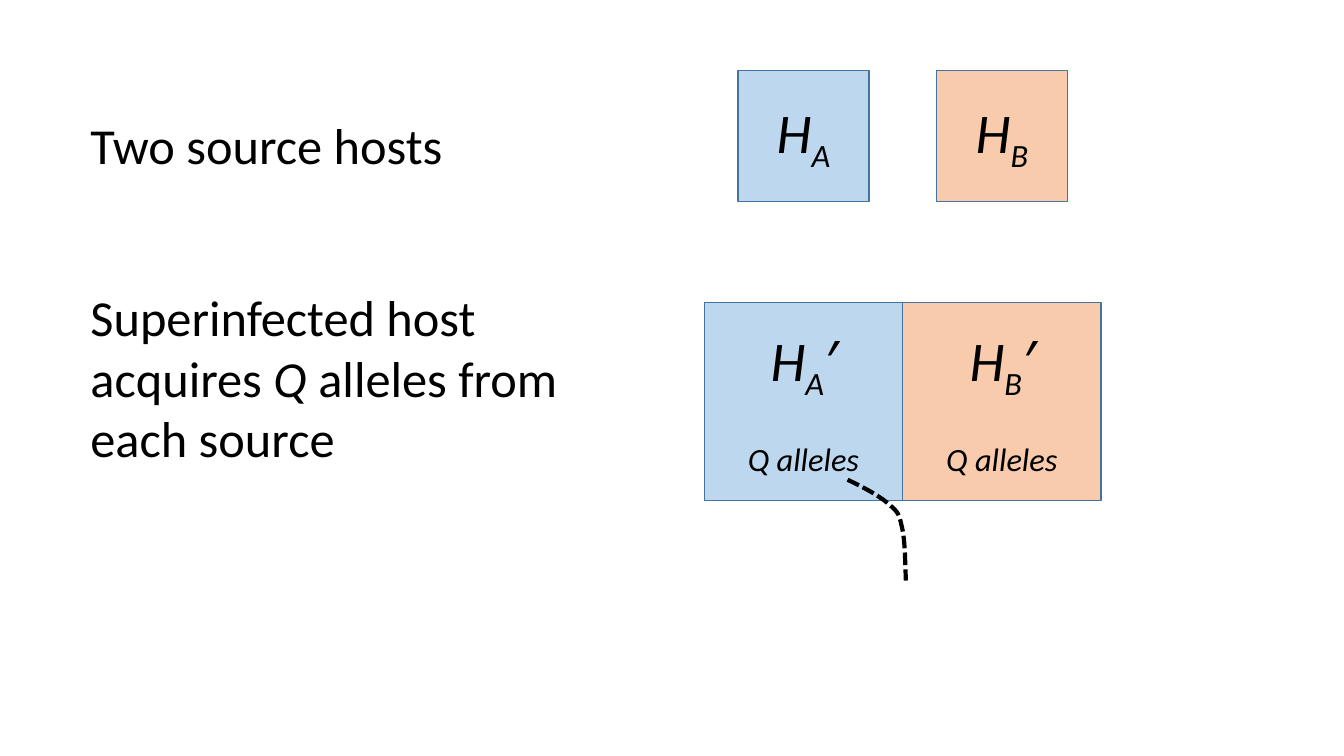
import pptx
import pptx.util
import pptx.dml.color
import pptx.enum.dml
import pptx.enum.shapes
import pptx.enum.text

Cm, Pt = pptx.util.Cm, pptx.util.Pt
RGBColor = pptx.dml.color.RGBColor

BLACK = RGBColor(0x00, 0x00, 0x00)
BLUE = RGBColor(0xBD, 0xD7, 0xEE)
ORANGE = RGBColor(0xF8, 0xCB, 0xAD)
OUTLINE = RGBColor(0x43, 0x73, 0x9E)

# Content: hosts, and labels as (text, italic) runs at (left, top, width, height, wrap)
HOSTS = [("A", BLUE), ("B", ORANGE)]
LABELS = [
    ((2.03, 2.74, 9.47, 1.8, False), [("Two source hosts", False)]),
    ((2.03, 7.09, 14.48, 4.88, True), [
        ("Superinfected host acquires ", False),
        ("Q", True),
        (" alleles from each source", False),
    ]),
]

# Layout in centimetres
SOURCE_SIDE, SOURCE_TOP = 3.3, 1.78
INFECTED_SIDE, INFECTED_TOP = 5.0, 7.62
FIRST_CENTRE = 20.25

# Allele trail: start point, then Bezier segments of two controls and an end
TRAIL_START = (21.36, 12.09)
TRAIL_CURVES = [
    ((21.79, 12.29), (22.2, 12.52), (22.43, 12.73)),
    ((22.66, 12.93), (22.66, 12.98), (22.73, 13.28)),
    ((22.81, 13.61), (22.81, 14.12), (22.83, 14.63)),
]
STEPS = 12


def add_span(para, text, size, italic, subscript=False):
    span = para.add_run()
    span.text = text
    span.font.name = "Calibri"
    span.font.size = Pt(size)
    span.font.italic = italic
    span.font.color.rgb = BLACK
    if subscript:
        span._r.get_or_add_rPr().set("baseline", "-25000")


def add_host(slide, centre, top, side, fill, lines):
    box = slide.shapes.add_shape(
        pptx.enum.shapes.MSO_SHAPE.RECTANGLE,
        Cm(centre - side / 2), Cm(top), Cm(side), Cm(side))
    box.shadow.inherit = False
    box.fill.solid()
    box.fill.fore_color.rgb = fill
    box.line.color.rgb = OUTLINE
    box.line.width = Pt(1)
    frame = box.text_frame
    frame.vertical_anchor = pptx.enum.text.MSO_ANCHOR.MIDDLE
    for index, spans in enumerate(lines):
        para = frame.add_paragraph() if index else frame.paragraphs[0]
        para.alignment = pptx.enum.text.PP_ALIGN.CENTER
        for text, subscript in spans:
            add_span(para, text, 40, True, subscript)


def curve_points(start, curves):
    points = []
    for first, second, end in curves:
        for step in range(1, STEPS + 1):
            t = step / STEPS
            weights = ((1 - t) ** 3, 3 * t * (1 - t) ** 2, 3 * t ** 2 * (1 - t), t ** 3)
            corners = (start, first, second, end)
            points.append(tuple(
                Cm(sum(w * corner[axis] for w, corner in zip(weights, corners)))
                for axis in (0, 1)))
        start = end
    return points


deck = pptx.Presentation()
deck.slide_width, deck.slide_height = Cm(33.87), Cm(19.05)
slide = deck.slides.add_slide(deck.slide_layouts[6])

# Source hosts above, halves of the superinfected host below
for index, (letter, fill) in enumerate(HOSTS):
    centre = FIRST_CENTRE + index * INFECTED_SIDE
    symbol = [("H", False), (letter, True)]
    add_host(slide, centre, SOURCE_TOP, SOURCE_SIDE, fill, [symbol])
    add_host(slide, centre, INFECTED_TOP, INFECTED_SIDE, fill,
             [symbol + [("\u2032", False)], [("Q alleles", True)]])

# Descriptions on the left
for (left, top, width, height, wrap), spans in LABELS:
    box = slide.shapes.add_textbox(Cm(left), Cm(top), Cm(width), Cm(height))
    box.text_frame.word_wrap = wrap
    box.text_frame.auto_size = pptx.enum.text.MSO_AUTO_SIZE.SHAPE_TO_FIT_TEXT
    for text, italic in spans:
        add_span(box.text_frame.paragraphs[0], text, 36, italic)

# Dashed allele trail
builder = slide.shapes.build_freeform(*(Cm(value) for value in TRAIL_START))
builder.add_line_segments(curve_points(TRAIL_START, TRAIL_CURVES), close=False)
trail = builder.convert_to_shape()
trail.shadow.inherit = False
trail.fill.background()
trail.line.color.rgb = BLACK
trail.line.width = Pt(3)
trail.line.dash_style = pptx.enum.dml.MSO_LINE.SQUARE_DOT

deck.save("out.pptx")
